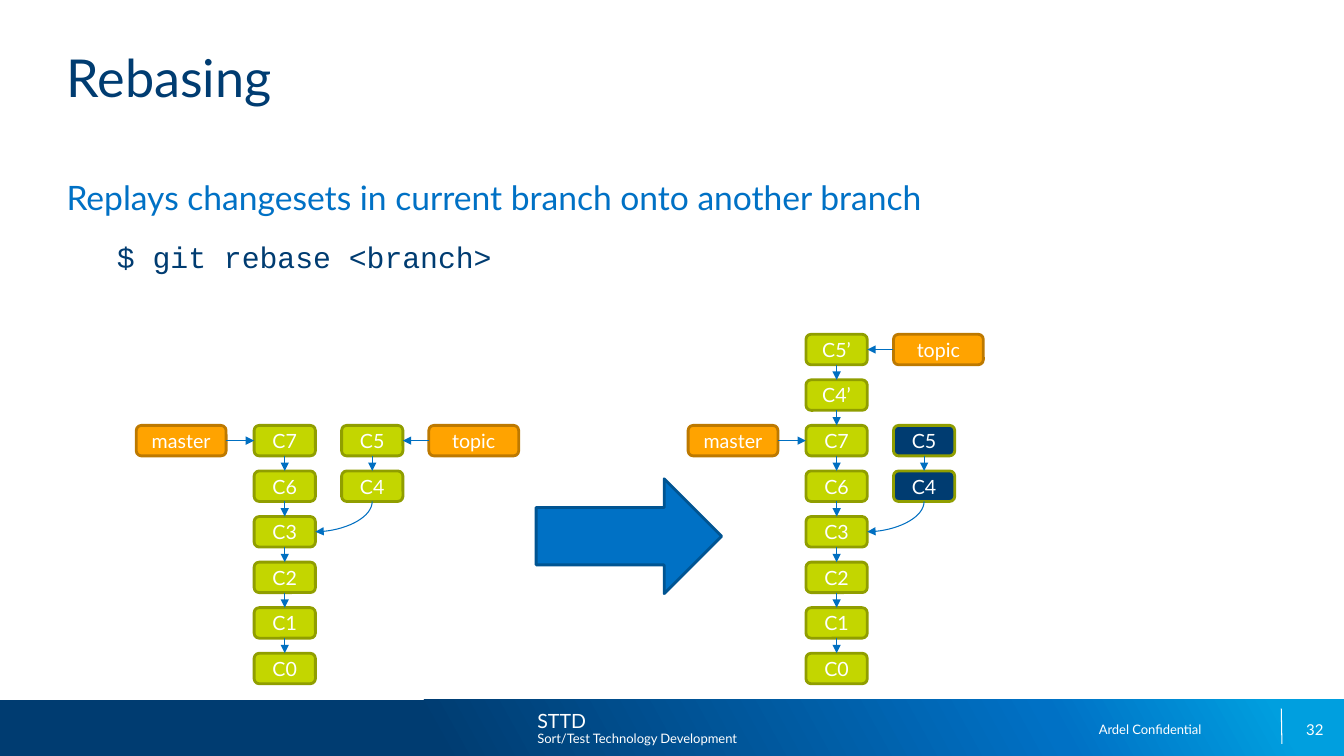
"""Draw a slide that shows a topic branch before and after a rebase."""
from copy import deepcopy
from itertools import pairwise

from lxml.etree import SubElement
from pptx import Presentation
from pptx.dml.color import RGBColor
from pptx.enum.shapes import MSO_CONNECTOR, MSO_SHAPE
from pptx.enum.text import MSO_ANCHOR, MSO_AUTO_SIZE, PP_ALIGN
from pptx.oxml.ns import qn
from pptx.util import Pt

HUES = {
    "white": "FFFFFF", "navy": "003C71", "blue": "0071C5", "sky": "009FDF",
    "link": "006FC1", "lime": "C3D600", "olive": "909E00",
    "gold": "FFA300", "brown": "BD7900", "edge": "005492",
}
WIDE, HIGH = 960, 540
BASE, STEP = 466.6, 32.55
BOX, TAG, TALL = 43.8, 64.2, 21.8
TOP, LEFT, FOOT, RIGHT = range(4)
ROWS = ["C0", "C1", "C2", "C3", "C6", "C7"]


def hue(name):
    return RGBColor.from_string(HUES[name])


def style(para, size, color, font="Lato", align=PP_ALIGN.LEFT):
    para.alignment = align
    for run in para.runs:
        run.font.size = Pt(size)
        run.font.name = font
        run.font.color.rgb = hue(color)


def place(shape, x, y, w, h):
    shape.left, shape.top, shape.width, shape.height = map(Pt, (x, y, w, h))


def clear(frame):
    frame.word_wrap = True
    frame.auto_size = MSO_AUTO_SIZE.NONE
    frame.vertical_anchor = MSO_ANCHOR.TOP
    frame.margin_left = frame.margin_right = 0
    frame.margin_top = frame.margin_bottom = 0


def label(slide, text, x, y, w, h, size, align=PP_ALIGN.LEFT):
    frame = slide.shapes.add_textbox(Pt(x), Pt(y), Pt(w), Pt(h)).text_frame
    clear(frame)
    frame.vertical_anchor = MSO_ANCHOR.MIDDLE
    frame.text = text
    style(frame.paragraphs[0], size, "white", align=align)


def block(slide, kind, x, y, w, h, fill, edge):
    shape = slide.shapes.add_shape(kind, Pt(x), Pt(y), Pt(w), Pt(h))
    shape.shadow.inherit = False
    shape.fill.solid()
    shape.fill.fore_color.rgb = hue(fill)
    shape.line.color.rgb = hue(edge)
    shape.line.width = Pt(2)
    return shape


def node(slide, text, x, row, fill="lime", edge="olive", w=BOX):
    y = BASE - row * STEP
    shape = block(slide, MSO_SHAPE.ROUNDED_RECTANGLE, x, y, w, TALL, fill, edge)
    frame = shape.text_frame
    frame.vertical_anchor = MSO_ANCHOR.MIDDLE
    frame.text = text
    style(frame.paragraphs[0], 14, "white", align=PP_ALIGN.CENTER)
    return shape


def tag(slide, text, x, row):
    return node(slide, text, x, row, "gold", "brown", TAG)


def wire(slide, kind, color):
    line = slide.shapes.add_connector(kind, 0, 0, 0, 0)
    line.line.color.rgb = hue(color)
    line.line.width = Pt(0.75)
    SubElement(line._element.spPr, qn("a:effectLst"))
    return line


def link(slide, start, out, end, into):
    line = wire(slide, MSO_CONNECTOR.STRAIGHT, "link")
    line.begin_connect(start, out)
    line.end_connect(end, into)
    SubElement(line.line._get_or_add_ln(), qn("a:tailEnd"), type="triangle")


def bend(slide, start, end):
    line = wire(slide, MSO_CONNECTOR.CURVE, "link")
    line.begin_connect(end, RIGHT)
    line.end_connect(start, FOOT)
    line._element.spPr.find(qn("a:prstGeom")).set("prst", "curvedConnector2")
    SubElement(line.line._get_or_add_ln(), qn("a:headEnd"), type="triangle")


def graph(slide, x, extra, fill):
    trunk = [node(slide, name, x + 84.2, row)
             for row, name in enumerate(ROWS + extra)]
    side = [node(slide, name, x + 146.7, row, fill)
            for row, name in enumerate(["C4", "C5"], 4)]
    for chain in (trunk, side):
        for low, high in pairwise(chain):
            link(slide, high, FOOT, low, TOP)
    bend(slide, side[0], trunk[3])
    link(slide, tag(slide, "master", x, 5), RIGHT, trunk[5], LEFT)
    if extra:
        link(slide, tag(slide, "topic", x + 146.7, 7), LEFT, trunk[7], RIGHT)
    else:
        link(slide, tag(slide, "topic", x + 209, 5), LEFT, side[1], RIGHT)


def footer(slide):
    bar = slide.shapes.add_shape(
        MSO_SHAPE.RECTANGLE, 0, Pt(499.7), Pt(WIDE), Pt(40.3))
    bar.shadow.inherit = False
    bar.line.fill.background()
    bar.fill.gradient()
    bar.fill.gradient_angle = 29
    stops = bar._element.spPr.find(".//" + qn("a:gsLst"))
    stops.append(deepcopy(stops[-1]))
    tones = [("navy", 0.32), ("blue", 0.78), ("sky", 0.95)]
    for stop, (color, spot) in zip(bar.fill.gradient_stops, tones):
        stop.color.rgb = hue(color)
        stop.position = spot
    rule = wire(slide, MSO_CONNECTOR.STRAIGHT, "white")
    rule.begin_x, rule.begin_y = Pt(915.2), Pt(506.2)
    rule.end_x, rule.end_y = Pt(915.7), Pt(531.4)
    label(slide, "STTD", 383.8, 506.2, 60, 17, 14)
    label(slide, "Sort/Test Technology Development", 383.8, 521.3, 192, 11.5, 9.3)
    label(slide, "Ardel Confidential", 738.7, 515.5, 119.5, 11.5, 9.3, PP_ALIGN.RIGHT)
    label(slide, "32", 721.4, 506.2, 224, 29, 10.7, PP_ALIGN.RIGHT)


def words(slide):
    title, body = slide.placeholders
    place(title, 47.5, 32.4, 864, 91.4)
    place(body, 47.5, 126, 864, 360)
    title.text_frame.text = "Rebasing"
    body.text_frame.text = "Replays changesets in current branch onto another branch"
    code = body.text_frame.add_paragraph()
    code.text = "$ git rebase <branch>"
    code.level = 1
    for shape in (title, body):
        clear(shape.text_frame)
    lead = body.text_frame.paragraphs[0]
    for para, inset, gap in ((lead, 0, 0), (code, 36, 16)):
        props = para._p.get_or_add_pPr()
        props.set("marL", str(Pt(inset)))
        props.set("indent", "0")
        SubElement(props, qn("a:buNone"))
        para.space_before = Pt(gap)
    style(title.text_frame.paragraphs[0], 37.3, "navy")
    style(lead, 24, "blue")
    style(code, 21.3, "navy", "Courier New")


def main():
    deck = Presentation()
    deck.slide_width, deck.slide_height = Pt(WIDE), Pt(HIGH)
    slide = deck.slides.add_slide(deck.slide_layouts[1])
    footer(slide)
    words(slide)
    graph(slide, 97.3, [], "lime")
    graph(slide, 491.5, ["C4’", "C5’"], "navy")
    block(slide, MSO_SHAPE.RIGHT_ARROW, 383, 342, 132.5, 82, "blue", "edge")
    deck.save("out.pptx")


if __name__ == "__main__":
    main()
